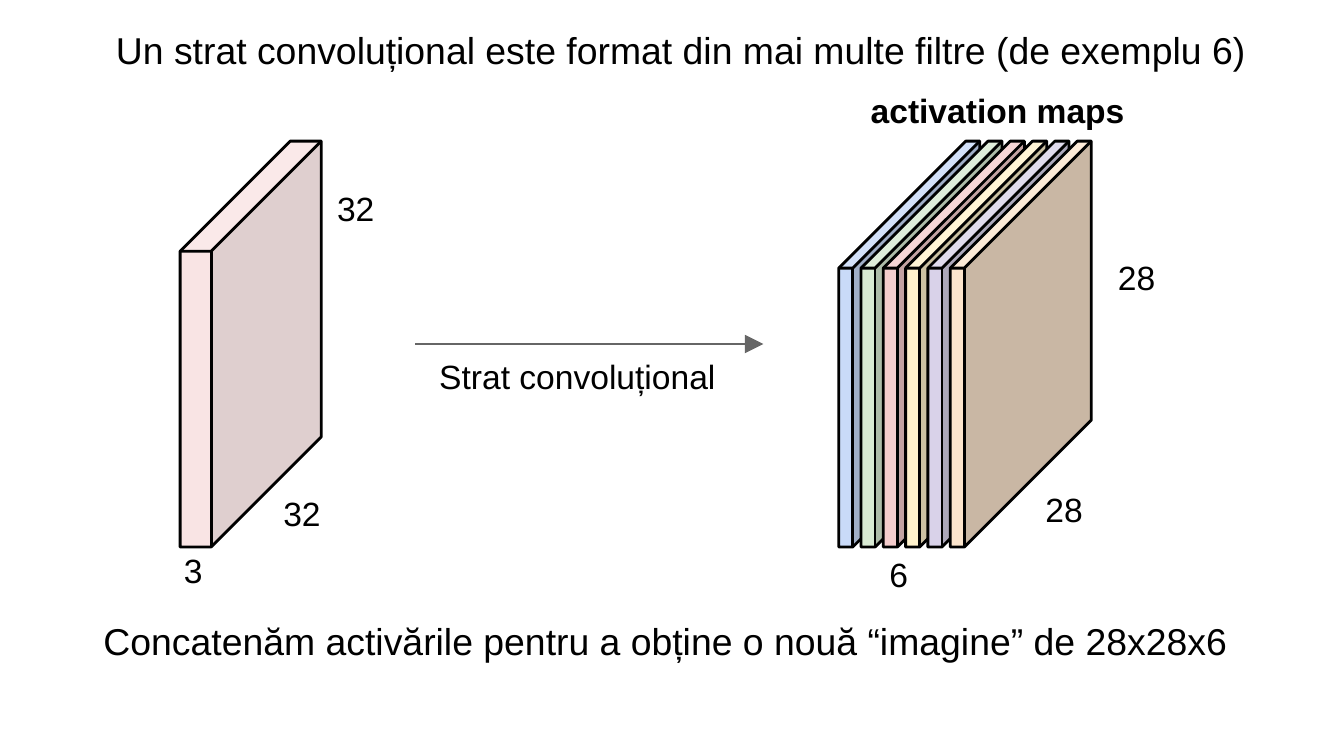
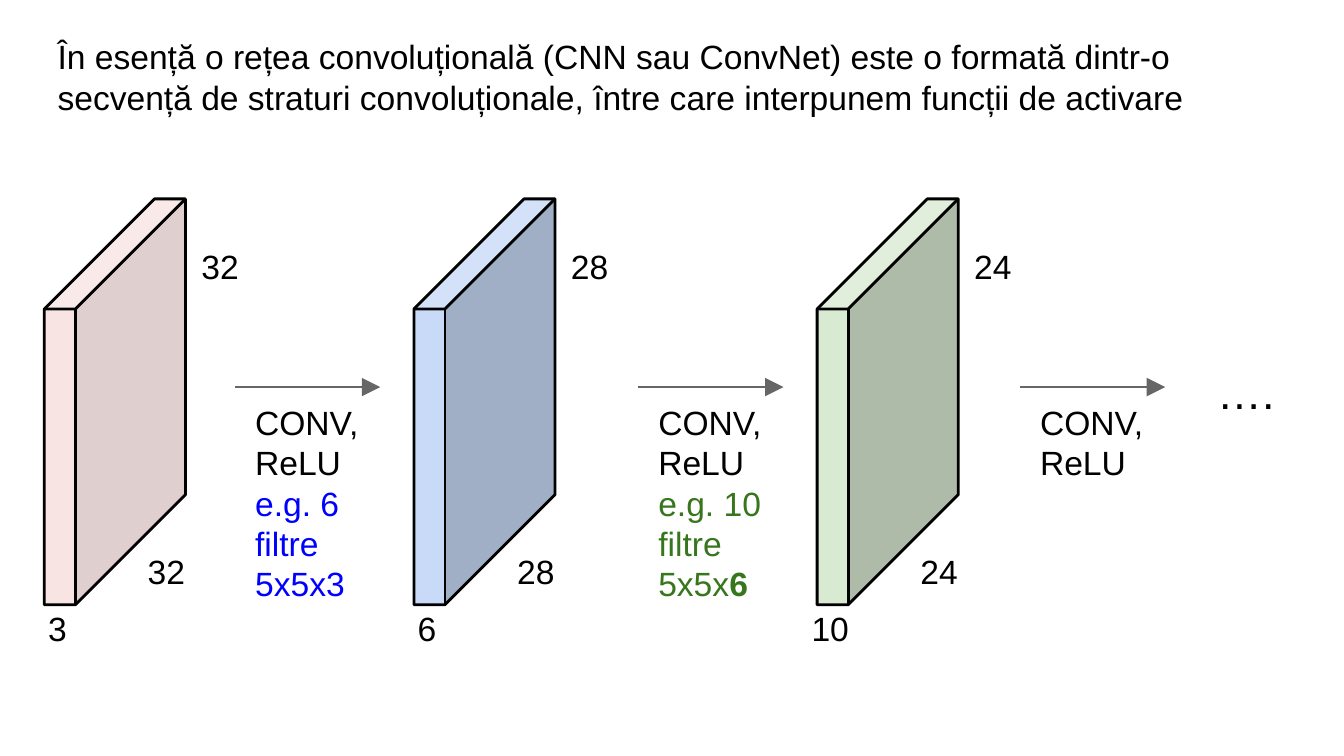
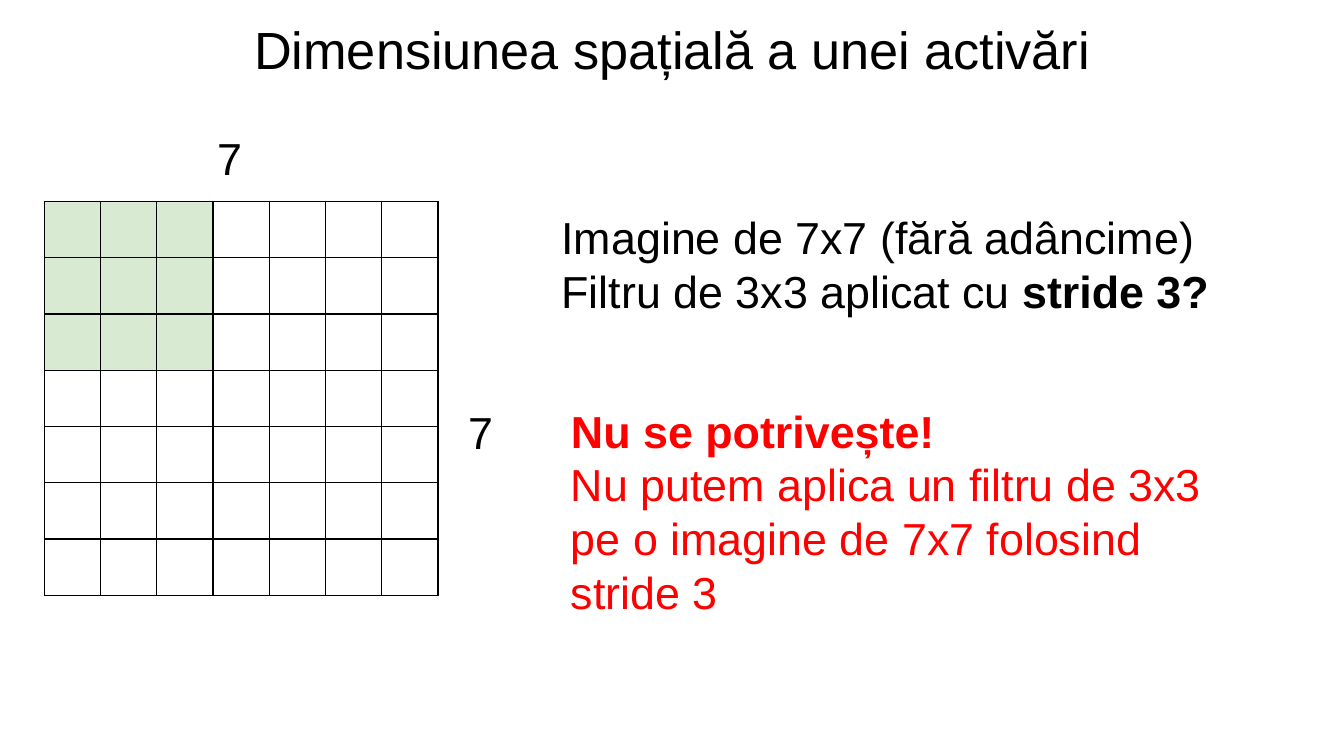
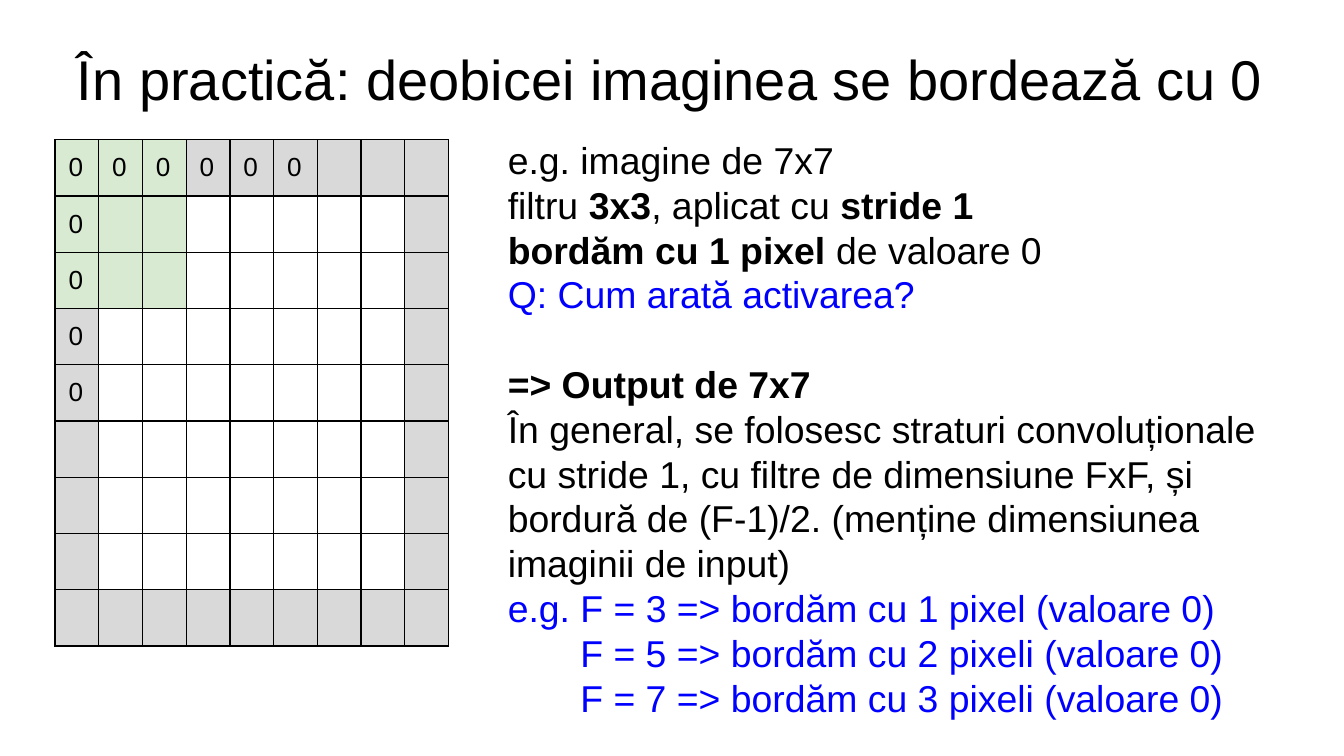
from lxml.etree import SubElement
from pptx import Presentation
from pptx.dml.color import RGBColor
from pptx.enum.shapes import MSO_CONNECTOR as Connector, MSO_SHAPE as Shape
from pptx.enum.text import MSO_ANCHOR as Anchor, PP_ALIGN as Align
from pptx.oxml.ns import qn
from pptx.util import Inches, Pt

COLORS = {
    "black": "000000", "white": "FFFFFF", "arrow": "666666",
    "pink": "F4CCCC", "blue": "C9DAF8", "green": "D9EAD3",
    "yellow": "FFF2CC", "purple": "D9D2E9", "orange": "FCE5CD",
    "padding": "D9D9D9", "blue_text": "0000FF", "green_text": "38761D",
    "red_text": "FF0000",
}
FONT = "Arial"
CUBE_SIDE, CUBE_HEIGHT = 1.05, 3.02
GRID_WIDTH = 2.93
GRID_ROW = GRID_WIDTH / 7


def color(name):
    return RGBColor.from_string(COLORS[name])


def format_run(run, size, color_name="black", bold=False):
    run.font.name = FONT
    run.font.size = Pt(size)
    run.font.bold = bold
    run.font.color.rgb = color(color_name)


def add_text(slide, box, paragraphs, size=18, align=Align.LEFT):
    text_box = slide.shapes.add_textbox(*map(Inches, box))
    frame = text_box.text_frame
    frame.word_wrap = True
    frame.margin_left = frame.margin_right = Inches(0.1)
    frame.margin_top = frame.margin_bottom = Inches(0.1)
    for index, parts in enumerate(paragraphs):
        paragraph = frame.paragraphs[0] if index == 0 else frame.add_paragraph()
        paragraph.alignment = align
        for text, *style in parts:
            run = paragraph.add_run()
            run.text = text
            format_run(run, size, *style)
    return frame


def add_label(slide, box, text, size=18, align=Align.LEFT):
    return add_text(slide, box, [[(text,)]], size, align)


def add_title(slide, box, text, size):
    return add_label(slide, box, text, size, Align.CENTER)


def add_cube(slide, left, top, color_name, fold, alpha=None):
    cube = slide.shapes.add_shape(Shape.CUBE, Inches(left), Inches(top),
                                  Inches(CUBE_SIDE), Inches(CUBE_HEIGHT))
    cube.adjustments[0] = fold
    cube.shadow.inherit = False
    cube.fill.solid()
    cube.fill.fore_color.rgb = color(color_name)
    cube.line.color.rgb = color("black")
    cube.line.width = Pt(1.5)
    if alpha:
        fill_color = cube._element.spPr.find(qn("a:solidFill"))[0]
        SubElement(fill_color, qn("a:alpha"), val=str(alpha * 1000))


def add_volume(slide, left, top, color_name, side, depth, alpha=None):
    add_cube(slide, left, top, color_name, 0.78, alpha)
    add_label(slide, (left + 0.67, top + 2.52, 0.54, 0.34), side)
    add_label(slide, (left + 1.07, top + 0.25, 0.54, 0.31), side)
    add_label(slide, (left - 0.07 * len(depth), top + 2.94, 0.54, 0.2), depth)


def add_arrow(slide, left, top, length):
    arrow = slide.shapes.add_connector(Connector.STRAIGHT, Inches(left), Inches(top),
                                       Inches(left + length), Inches(top))
    arrow.line.color.rgb = color("arrow")
    arrow.line.width = Pt(0.75)
    line = arrow._element.spPr.find(qn("a:ln"))
    SubElement(line, qn("a:tailEnd"), type="triangle", w="lg", len="lg")
    SubElement(arrow._element.spPr, qn("a:effectLst"))


def add_convolution(slide, left, top, width, details=()):
    add_arrow(slide, left, top, 1.08)
    paragraphs = [[("CONV,",)], [("ReLU",)]]
    if details:
        paragraphs.append(details)
    add_text(slide, (left + 0.05, top + 0.01, width, 0.43), paragraphs)


def format_cell(cell, fill_name):
    cell.fill.solid()
    cell.fill.fore_color.rgb = color(fill_name)
    cell.margin_left = cell.margin_right = Inches(0.1)
    cell.margin_top = cell.margin_bottom = 0
    cell.vertical_anchor = Anchor.MIDDLE
    properties = cell._tc.get_or_add_tcPr()
    for index, edge in enumerate(("a:lnL", "a:lnR", "a:lnT", "a:lnB")):
        border = properties.makeelement(qn(edge), {"w": str(Pt(0.75))})
        fill = SubElement(border, qn("a:solidFill"))
        SubElement(fill, qn("a:srgbClr"), val=COLORS["black"])
        properties.insert(index, border)


def add_grid(slide, left, top, count, padded=False):
    frame = slide.shapes.add_table(count, count, Inches(left), Inches(top),
                                   Inches(GRID_WIDTH), Inches(GRID_ROW * count))
    table = frame.table
    table.first_row = table.horz_banding = False
    for column in table.columns:
        column.width = Inches(GRID_WIDTH / count)
    for row in range(count):
        for column in range(count):
            on_edge = padded and (row in (0, count - 1) or column in (0, count - 1))
            in_filter = row < 3 and column < 3
            cell = table.cell(row, column)
            format_cell(cell, "green" if in_filter else "padding" if on_edge else "white")
            if padded and (row == 0 and column < 6 or column == 0 and row < 5):
                cell.text_frame.text = "0"
                format_run(cell.text_frame.paragraphs[0].runs[0], 14)


def add_activation_maps(slide, left, top):
    names = ("blue", "green", "pink", "yellow", "purple", "orange")
    for index, name in enumerate(names):
        add_cube(slide, left + index * 0.83 / 5, top, name, 0.9)
    add_text(slide, (left + 0.14, top - 0.48, 2.26, 0.59),
             [[("activation maps", "black", True)]])
    add_label(slide, (left + 0.28, top + 2.97, 0.36, 0.34), "6")
    add_label(slide, (left + 1.44, top + 2.49, 0.54, 0.34), "28")
    add_label(slide, (left + 1.98, top + 0.76, 0.54, 0.34), "28")


def build_filters_slide(slide):
    add_title(slide, (0.3, 0.1, 9.54, 0.42),
              "Un strat convoluțional este format din mai multe filtre (de exemplu 6)", 20)
    add_volume(slide, 1.34, 1.05, "pink", "32", "3", 52)
    add_arrow(slide, 3.09, 2.56, 2.59)
    add_label(slide, (3.17, 2.55, 2.37, 0.58), "Strat convoluțional")
    add_activation_maps(slide, 6.24, 1.05)
    add_title(slide, (0.47, 4.5, 8.97, 0.63),
              "Concatenăm activările pentru a obține o nouă “imagine” de 28x28x6", 20)


def build_network_slide(slide):
    add_label(slide, (0.33, 0.17, 9.35, 1.08),
              "În esență o rețea convoluțională (CNN sau ConvNet) este o formată dintr-o "
              "secvență de straturi convoluționale, între care interpunem funcții de activare")
    volumes = ((0.33, "pink", "32", "3", 52), (3.08, "blue", "28", "6", None),
               (6.08, "green", "24", "10", None))
    for left, name, side, depth, alpha in volumes:
        add_volume(slide, left, 1.48, name, side, depth, alpha)
    add_convolution(slide, 1.75, 2.88, 1.08, [("e.g. 6 filtre 5x5x3", "blue_text")])
    add_convolution(slide, 4.75, 2.88, 1.16, [("e.g. 10 filtre 5x5x", "green_text"),
                                              ("6", "green_text", True)])
    add_convolution(slide, 7.59, 2.88, 1.08)
    add_label(slide, (8.96, 2.61, 1.05, 0.39), "….", 24)


def build_stride_slide(slide):
    add_title(slide, (0, 0.03, 10, 0.72), "Dimensiunea spațială a unei activări", 28)
    add_label(slide, (1.52, 0.87, 0.6, 0.5), "7", 24)
    add_label(slide, (3.39, 2.91, 0.64, 0.31), "7", 24)
    add_grid(slide, 0.33, 1.5, 7)
    add_text(slide, (4.08, 1.46, 5.26, 3.5), [
        [("Imagine de 7x7 (fără adâncime)",)],
        [("Filtru de 3x3 aplicat cu ",), ("stride 3?", "black", True)],
    ], 24)
    add_text(slide, (4.15, 2.9, 4.95, 1.85), [
        [("Nu se potrivește!", "red_text", True)],
        [("Nu putem aplica un filtru de 3x3 pe o imagine de 7x7 folosind stride 3",
          "red_text")],
    ], 24)


def build_padding_slide(slide):
    add_title(slide, (0.29, 0.23, 9.39, 0.81),
              "În practică: deobicei imaginea se bordează cu 0", 30)
    add_grid(slide, 0.41, 1.04, 9, padded=True)
    frame = add_text(slide, (3.68, 0.92, 5.96, 4.53), [
        [("e.g. imagine de 7x7",)],
        [("filtru",), (" 3x3", "black", True), (", aplicat cu ",),
         ("stride 1", "black", True)],
        [("bordăm cu 1 pixel ", "black", True), ("de valoare 0",)],
        [("Q: Cum arată activarea?", "blue_text")],
        [("=> Output de 7x7", "black", True)],
        [("În general, se folosesc straturi convoluționale cu stride 1, cu filtre de "
          "dimensiune FxF, și bordură de (F-1)/2. (menține dimensiunea imaginii de "
          "input)",)],
        [("e.g. F = 3 => bordăm cu 1 pixel (valoare 0)", "blue_text")],
        [("F = 5 => bordăm cu 2 pixeli (valoare 0)", "blue_text")],
        [("F = 7 => bordăm cu 3 pixeli (valoare 0)", "blue_text")],
    ], 20)
    frame.paragraphs[4].space_before = Pt(24)
    for paragraph in frame.paragraphs[-2:]:
        paragraph._p.get_or_add_pPr().set("marL", str(Inches(0.54)))


def main():
    presentation = Presentation()
    presentation.slide_width = Inches(10)
    presentation.slide_height = Inches(10 * 9 / 16)
    blank = presentation.slide_layouts[6]
    for build in (build_filters_slide, build_network_slide,
                  build_stride_slide, build_padding_slide):
        build(presentation.slides.add_slide(blank))
    presentation.save("out.pptx")


if __name__ == "__main__":
    main()
